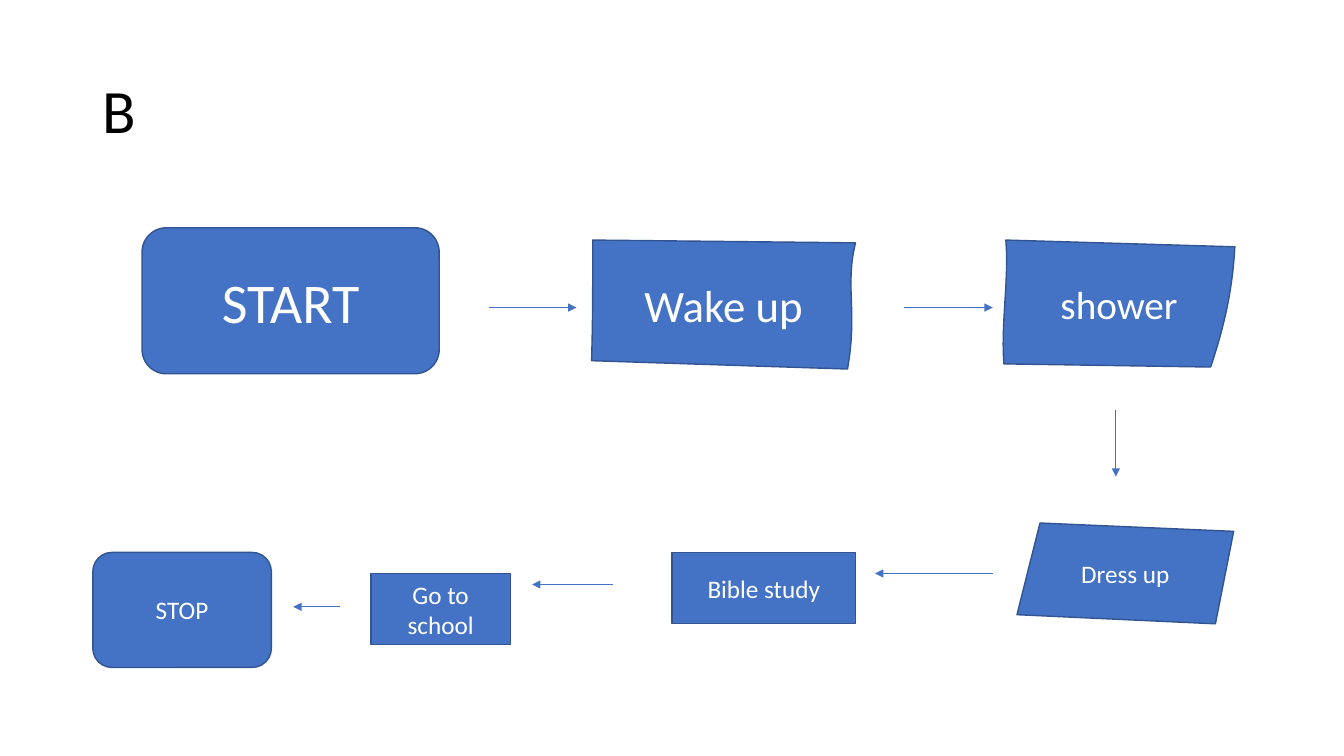
from lxml import etree
from pptx import Presentation
from pptx.dml.color import RGBColor
from pptx.enum.shapes import MSO_CONNECTOR, MSO_SHAPE
from pptx.enum.text import MSO_ANCHOR, PP_ALIGN
from pptx.oxml.ns import qn
from pptx.util import Cm, Pt

ROUNDED = MSO_SHAPE.FLOWCHART_ALTERNATE_PROCESS
RECTANGLE = MSO_SHAPE.RECTANGLE
STRAIGHT = MSO_CONNECTOR.STRAIGHT
MIDDLE = MSO_ANCHOR.MIDDLE
LEFT, CENTER = PP_ALIGN.LEFT, PP_ALIGN.CENTER

FONT = "Calibri"
BLUE, DARK_BLUE, WHITE, BLACK = "4472C4", "325491", "FFFFFF", "000000"
CURVE_STEPS = 12

TITLE = "B"
TITLE_BOX = (2.33, 1.01, 29.21, 3.68)

# Text, size in points, preset, (left, top, width, height) in cm
BOXES = [
    ("START", 40, ROUNDED, (3.58, 5.74, 7.49, 3.68)),
    ("Bible study", 18, RECTANGLE, (16.94, 13.92, 4.62, 1.8)),
    ("Go to school", 18, RECTANGLE, (9.35, 14.45, 3.51, 1.8)),
    ("STOP", 18, ROUNDED, (2.34, 13.92, 4.5, 2.9)),
]

# Text, size in points, left edge upwards, right edge downwards:
# an edge has two end points, or four Bezier points, in cm
SKETCHED_BOXES = [
    ("Wake up", 32,
     [(14.91, 9.09), (14.94, 8.08), (14.94, 7.06), (14.94, 6.05)],
     [(21.56, 6.12), (21.29, 7.19), (21.62, 7.85), (21.36, 9.3)]),
    ("shower", 28,
     [(25.3, 9.17), (25.22, 8.2), (25.43, 7.04), (25.35, 6.05)],
     [(31.12, 6.22), (31.06, 7.34), (30.84, 8.26), (30.51, 9.25)]),
    ("Dress up", 18,
     [(25.63, 15.49), (26.21, 13.18)],
     [(31.09, 13.39), (30.63, 15.72)]),
]

# Start and end of each arrow in cm
ARROWS = [
    ((12.32, 7.75), (14.53, 7.75)),
    ((22.78, 7.75), (25.02, 7.75)),
    ((28.12, 10.34), (28.12, 12.01)),
    ((25.02, 14.45), (22.05, 14.45)),
    ((15.44, 14.73), (13.41, 14.73)),
    ((8.56, 15.29), (7.39, 15.29)),
]


def color(value):
    return RGBColor.from_string(value)


def write(shape, text, size, text_color, alignment):
    frame = shape.text_frame
    frame.word_wrap = True
    frame.vertical_anchor = MIDDLE
    frame.text = text
    paragraph = frame.paragraphs[0]
    paragraph.alignment = alignment
    paragraph.font.name = FONT
    paragraph.font.size = Pt(size)
    paragraph.font.color.rgb = color(text_color)
    return paragraph


def style_box(shape, text, size):
    shape.shadow.inherit = False
    shape.fill.solid()
    shape.fill.fore_color.rgb = color(BLUE)
    shape.line.color.rgb = color(DARK_BLUE)
    shape.line.width = Pt(1)
    write(shape, text, size, WHITE, CENTER)


def edge_points(edge):
    """Return the points along an edge, sampling it if it is a Bezier curve."""
    if len(edge) == 2:
        return edge
    points = []
    for step in range(CURVE_STEPS + 1):
        t = step / CURVE_STEPS
        weights = ((1 - t) ** 3, 3 * t * (1 - t) ** 2, 3 * t ** 2 * (1 - t), t ** 3)
        points.append(tuple(sum(weight * point[axis] for weight, point in zip(weights, edge))
                            for axis in (0, 1)))
    return points


def add_sketched_box(slide, text, size, left_edge, right_edge):
    outline = [(Cm(x), Cm(y)) for x, y in edge_points(left_edge) + edge_points(right_edge)]
    builder = slide.shapes.build_freeform(*outline[0])
    builder.add_line_segments(outline[1:], close=True)
    style_box(builder.convert_to_shape(), text, size)


def add_arrow(slide, start, end):
    arrow = slide.shapes.add_connector(STRAIGHT, *map(Cm, start + end))
    arrow.line.color.rgb = color(BLUE)
    arrow.line.width = Pt(0.5)
    etree.SubElement(arrow.line._get_or_add_ln(), qn("a:tailEnd"), type="triangle")
    etree.SubElement(arrow._element.spPr, qn("a:effectLst"))


def main():
    presentation = Presentation()
    presentation.slide_width, presentation.slide_height = Cm(33.87), Cm(19.05)
    slide = presentation.slides.add_slide(presentation.slide_layouts[5])

    title = slide.shapes.title
    title.left, title.top, title.width, title.height = map(Cm, TITLE_BOX)
    write(title, TITLE, 44, BLACK, LEFT).line_spacing = 0.9

    for text, size, preset, box in BOXES:
        style_box(slide.shapes.add_shape(preset, *map(Cm, box)), text, size)
    for sketched_box in SKETCHED_BOXES:
        add_sketched_box(slide, *sketched_box)
    for start, end in ARROWS:
        add_arrow(slide, start, end)

    presentation.save("out.pptx")


if __name__ == "__main__":
    main()
